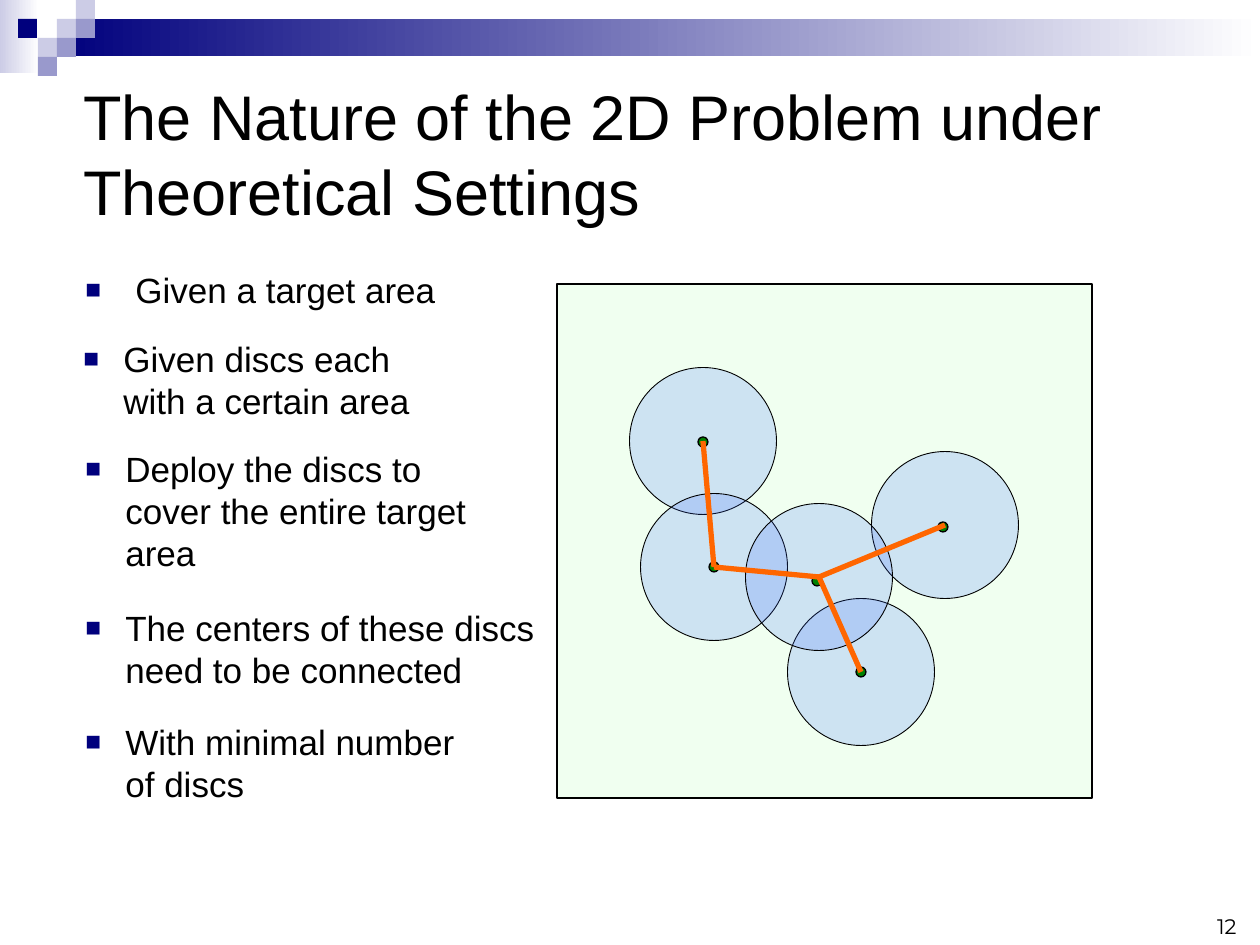
import pptx
import pptx.util
import pptx.dml.color
import pptx.enum.shapes
import pptx.enum.text
from lxml import etree
from pptx.oxml.ns import qn

RGBColor = pptx.dml.color.RGBColor
MSO_SHAPE = pptx.enum.shapes.MSO_SHAPE
ALIGN = pptx.enum.text.PP_ALIGN
ANCHOR = pptx.enum.text.MSO_ANCHOR

BLACK = RGBColor(0, 0, 0)
WHITE = RGBColor(255, 255, 255)
NAVY = RGBColor(0x00, 0x00, 0x7D)
LILAC = RGBColor(0xCC, 0xCC, 0xE6)
PERIWINKLE = RGBColor(0x99, 0x99, 0xCC)
AREA_GREEN = RGBColor(0x00, 0xFF, 0x00)
DISC_BLUE = RGBColor(0x33, 0x66, 0xFF)
DOT_GREEN = RGBColor(0x00, 0x80, 0x00)
ORANGE = RGBColor(0xFF, 0x66, 0x00)

TITLE = "The Nature of the 2D Problem under Theoretical Settings"
PAGE_NUMBER = "12"
BULLETS = [
    ("Given a target area", (73, 262, 401, 55), 50),
    ("Given discs each with a certain area", (71, 331, 388, 97), 40),
    ("Deploy the discs to cover the entire target area", (73, 441, 451, 139), 40),
    ("The centers of these discs need to be connected", (73, 600, 514, 97), 40),
    ("With minimal number of discs", (73, 714, 431, 97), 40),
]

BANDS = [((0, 0, 39, 73), LILAC), ((57, 19, 1203, 37), NAVY)]
TILE = 19
TILES = [
    (57, 19, LILAC), (76, 0, LILAC), (76, 19, PERIWINKLE), (38, 38, LILAC),
    (18, 19, NAVY), (57, 38, PERIWINKLE), (38, 57, PERIWINKLE),
]

TARGET_AREA = (557, 284, 535, 514)
DISC_SIZE, DOT_SIZE = 147, 10
DISCS = {
    "top": (703, 441),
    "right": (945, 525),
    "bottom": (861, 672),
    "left": (714, 567),
    "hub": (819, 577),
}
DOTS = [(703, 442), (714, 567), (817, 581), (943, 527), (861, 672)]
LINKS = [("top", "left"), ("right", "hub"), ("hub", "left"), ("bottom", "hub")]


def px(value):
    return pptx.util.Emu(round(value * 914400 / 126))


def add_figure(kind, box, color, line_width=None, opacity=None):
    figure = slide.shapes.add_shape(kind, *map(px, box))
    figure.shadow.inherit = False
    figure.fill.solid()
    figure.fill.fore_color.rgb = color
    if opacity is not None:
        tint = figure.fill._xPr.find(qn("a:solidFill"))[0]
        etree.SubElement(tint, qn("a:alpha")).set("val", str(opacity * 1000))
    if line_width is None:
        figure.line.fill.background()
    else:
        figure.line.color.rgb = BLACK
        figure.line.width = pptx.util.Pt(line_width)
    return figure


def add_circle(center, size, color, line_width, opacity=None):
    x, y = center
    box = (x - size / 2, y - size / 2, size, size)
    add_figure(MSO_SHAPE.OVAL, box, color, line_width, opacity)


def add_text(text, box, size, font="Arial"):
    frame = slide.shapes.add_textbox(*map(px, box)).text_frame
    frame.word_wrap = True
    frame.text = text
    paragraph = frame.paragraphs[0]
    paragraph.line_spacing = pptx.util.Pt(size * 1.2)
    run_font = paragraph.runs[0].font
    run_font.name = font
    run_font.size = pptx.util.Pt(size)
    run_font.color.rgb = BLACK
    return frame


def add_bullet(paragraph, indent):
    props = paragraph._p.get_or_add_pPr()
    props.set("marL", str(px(indent)))
    props.set("indent", str(-px(indent)))
    bullet_color = etree.SubElement(props, qn("a:buClr"))
    etree.SubElement(bullet_color, qn("a:srgbClr")).set("val", str(NAVY))
    etree.SubElement(props, qn("a:buSzPct")).set("val", "75000")
    etree.SubElement(props, qn("a:buFont")).set("typeface", "Arial")
    etree.SubElement(props, qn("a:buChar")).set("char", "■")


prs = pptx.Presentation()
prs.slide_width, prs.slide_height = px(1260), px(945)
slide = prs.slides.add_slide(prs.slide_layouts[6])

for box, color in BANDS:
    fill = add_figure(MSO_SHAPE.RECTANGLE, box, color).fill
    fill.gradient()
    fill.gradient_angle = 0
    for stop, stop_color in zip(fill.gradient_stops, (color, WHITE)):
        stop.color.rgb = stop_color
for x, y, color in TILES:
    add_figure(MSO_SHAPE.RECTANGLE, (x, y, TILE, TILE), color)

number_frame = add_text(PAGE_NUMBER, (955, 882, 294, 63), 12, "Montserrat")
number_frame.vertical_anchor = ANCHOR.BOTTOM
number_frame.paragraphs[0].alignment = ALIGN.RIGHT

add_text(TITLE, (71, 71, 1081, 164), 36)
for text, box, indent in BULLETS:
    add_bullet(add_text(text, box, 20).paragraphs[0], indent)

add_figure(MSO_SHAPE.RECTANGLE, TARGET_AREA, AREA_GREEN, 0.75, 6)
for center in DISCS.values():
    add_circle(center, DISC_SIZE, DISC_BLUE, 0.5, 18)
for center in DOTS:
    add_circle(center, DOT_SIZE, DOT_GREEN, 0.75)
for start, end in LINKS:
    link = slide.shapes.add_connector(
        pptx.enum.shapes.MSO_CONNECTOR.STRAIGHT,
        *map(px, DISCS[start] + DISCS[end]))
    link.line.color.rgb = ORANGE
    link.line.width = pptx.util.Pt(3)
    etree.SubElement(link._element.spPr, qn("a:effectLst"))

prs.save("out.pptx")
